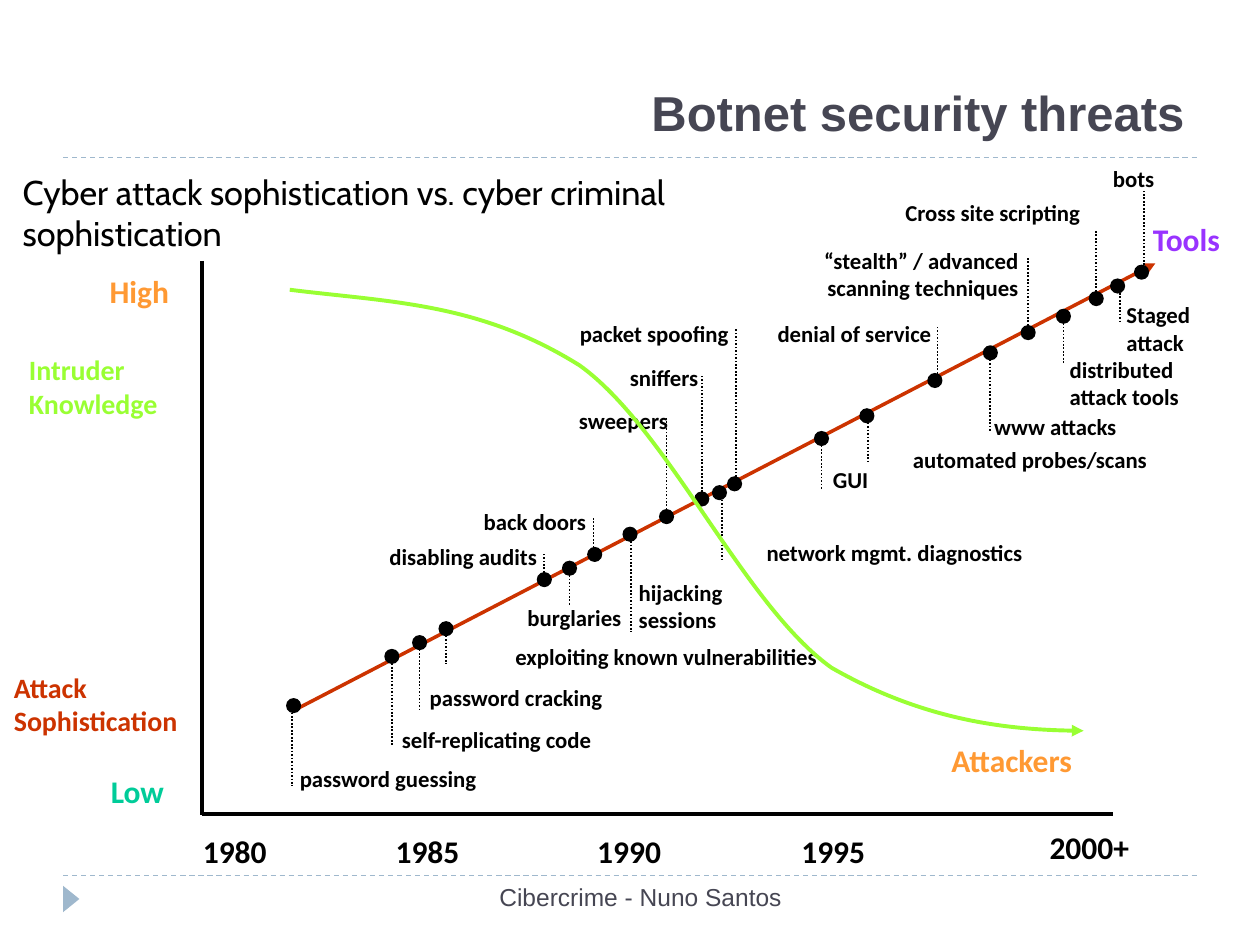
from lxml.etree import SubElement
from pptx import Presentation
from pptx.dml.color import RGBColor
from pptx.enum.dml import MSO_LINE
from pptx.enum.shapes import MSO_CONNECTOR, MSO_SHAPE
from pptx.enum.text import MSO_ANCHOR, MSO_AUTO_SIZE, PP_ALIGN
from pptx.oxml.ns import qn
from pptx.util import Inches, Pt

BLACK = RGBColor(0x00, 0x00, 0x00)
SLATE = RGBColor(0x46, 0x46, 0x53)
STEEL = RGBColor(0x9F, 0xB8, 0xCD)
ORANGE = RGBColor(0xFF, 0x99, 0x33)
TEAL = RGBColor(0x00, 0xCC, 0x99)
RED = RGBColor(0xCC, 0x33, 0x00)
GREEN = RGBColor(0x99, 0xFF, 0x33)
PURPLE = RGBColor(0x99, 0x33, 0xFF)
LEFT, CENTER, RIGHT = PP_ALIGN.LEFT, PP_ALIGN.CENTER, PP_ALIGN.RIGHT

presentation = Presentation()
presentation.slide_width = Inches(10)
presentation.slide_height = Inches(7.5)
slide = presentation.slides.add_slide(presentation.slide_layouts[1])
shapes = slide.shapes

# The slide is a grid of 100 columns by 75 rows of square cells
CELL = presentation.slide_width // 100


def write_text(shape, text, color, align, font_format, frame_format):
    """Fill a shape with text and apply the format values."""
    frame = shape.text_frame
    frame.text = text
    for name, value in frame_format.items():
        setattr(frame, name, value)
    for paragraph in frame.paragraphs:
        paragraph.alignment = align
        for run in paragraph.runs:
            run.font.color.rgb = color
            for name, value in font_format.items():
                setattr(run.font, name, value)


def draw_line(x1, y1, x2, y2, color, width, dash=None):
    """Draw a connector between two grid points."""
    ends = [round(value * CELL) for value in (x1, y1, x2, y2)]
    line = shapes.add_connector(MSO_CONNECTOR.STRAIGHT, *ends)
    line.line.color.rgb = color
    line.line.width = Pt(width)
    if dash:
        line.line.dash_style = dash
    SubElement(line._element.spPr, qn("a:effectLst"))
    return line


# Template rules and corner marker
for row in (69.5, 12.5):
    draw_line(5, row, 95, row, STEEL, 0.75, MSO_LINE.DASH)
marker = shapes.add_shape(
    MSO_SHAPE.ISOSCELES_TRIANGLE,
    *[round(value * CELL) for value in (4.6, 70.7, 2.1, 1.3)])
marker.rotation = 90
marker.shadow.inherit = False
marker.fill.solid()
marker.fill.fore_color.rgb = STEEL
marker.line.fill.background()

# Title, subtitle and footer
title, body = shapes.title, slide.placeholders[1]
footer = shapes.add_textbox(0, 0, CELL, CELL)
headings = [
    (title, (13.3, 1.7, 81.7, 10), "Botnet security threats", SLATE, RIGHT,
     {"name": "Arial", "size": Pt(28), "bold": True}, MSO_ANCHOR.BOTTOM),
    (body, (0.8, 13.1, 67.5, 6.1),
     "Cyber attack sophistication vs. cyber criminal sophistication",
     BLACK, LEFT, {"name": "Cabin", "size": Pt(19.6)}, MSO_ANCHOR.TOP),
    (footer, (31.7, 69.5, 38.3, 4), "Cibercrime - Nuno Santos", SLATE, CENTER,
     {"name": "Arial", "size": Pt(14)}, MSO_ANCHOR.TOP),
]
for shape, box, text, color, align, font_format, anchor in headings:
    for name, value in zip(("left", "top", "width", "height"), box):
        setattr(shape, name, round(value * CELL))
    write_text(shape, text, color, align, font_format,
               {"word_wrap": True, "auto_size": MSO_AUTO_SIZE.NONE,
                "vertical_anchor": anchor})
body_paragraph = body.text_frame.paragraphs[0]
body_properties = body_paragraph._p.get_or_add_pPr()
body_properties.set("marL", "0")
body_properties.set("indent", "0")
SubElement(body_properties, qn("a:buNone"))
body_paragraph.space_before = Pt(0)

# Axes
draw_line(16, 20.7, 16, 64.7, BLACK, 2.25)
draw_line(16, 64.6, 88.3, 64.6, BLACK, 2.25)

# Attack sophistication trend
trend = draw_line(23.3, 56.4, 91.7, 20.9, RED, 2)

# Attacks: text, label left, top, width, align, dot centre x, y, stem x, stem end
attacks = [
    ("password guessing", 22.7, 60.2, 19.3, LEFT, 23.3, 56, 23.2, 62.4),
    ("self-replicating code", 30.8, 57.1, 20.1, LEFT, 31.1, 52.1, 31.1, 59.2),
    ("password cracking", 33, 53.8, 18.8, LEFT, 33.3, 51, 33.3, 56.3),
    ("exploiting known vulnerabilities", 35.9, 50.5, 30, RIGHT,
     35.4, 49.9, 35.4, 52.7),
    ("disabling audits", 27.5, 42.6, 16.2, RIGHT, 43.2, 46, 43.2, 43.9),
    ("burglaries", 39.3, 47.4, 11.1, RIGHT, 45.2, 45.1, 45.2, 48.1),
    ("back doors", 35.6, 39.8, 12, RIGHT, 47.2, 44, 47.1, 41.1),
    ("hijacking\nsessions", 49.6, 45.4, 10.7, LEFT, 50, 42.4, 50.1, 50.2),
    ("sweepers", 43.1, 31.8, 11, RIGHT, 52.9, 41, 52.9, 33.2),
    ("sniffers", 47.6, 28.4, 8.9, RIGHT, 55.7, 39.6, 55.7, 29.7),
    ("network mgmt. diagnostics", 56.3, 42.3, 25.9, RIGHT,
     57.1, 39.1, 57.3, 44.6),
    ("packet spoofing", 42.6, 24.9, 16.3, RIGHT, 58.3, 38.4, 58.4, 26.1),
    ("GUI", 64.5, 36.5, 5.5, RIGHT, 65.2, 34.8, 65.2, 38.9),
    ("automated probes/scans", 68.3, 34.9, 23.8, RIGHT, 68.8, 33, 68.9, 36.7),
    ("denial of service", 58.4, 24.9, 16.6, RIGHT, 74.2, 30.2, 74.4, 25.8),
    ("www attacks", 77.8, 32.3, 15.7, LEFT, 78.6, 28, 78.6, 34.3),
    ("“stealth” / advanced scanning techniques", 59.4, 19.1, 22.5, RIGHT,
     81.6, 26.4, 81.6, 20.5),
    ("distributed\nattack tools", 83.8, 27.7, 12.4, LEFT,
     84.4, 25.1, 84.4, 28.8),
    ("Cross site scripting", 67.5, 15.3, 19.3, RIGHT, 87, 23.7, 87, 18.2),
    ("Staged\vattack", 88.3, 23.4, 8.5, LEFT, 88.7, 22.7, 88.9, 25.5),
    ("bots", 86.4, 12.6, 6.3, RIGHT, 90.6, 21.6, 90.8, 15.1),
]
DOT = 1.2
for *_, dot_x, dot_y, stem_x, stem_end in attacks:
    draw_line(stem_x, dot_y, stem_x, stem_end, BLACK, 1, MSO_LINE.ROUND_DOT)
    dot = shapes.add_shape(
        MSO_SHAPE.OVAL,
        *[round(value * CELL)
          for value in (dot_x - DOT / 2, dot_y - DOT / 2, DOT, DOT)])
    dot.shadow.inherit = False
    dot.fill.solid()
    dot.fill.fore_color.rgb = BLACK
    dot.line.fill.background()

# Labels: text, left, top, width, align, size, colour
labels = [(*attack[:5], 13, BLACK) for attack in attacks]
labels += [
    ("High", 7.6, 21.1, 9, LEFT, 18, ORANGE),
    ("Low", 7.7, 60.8, 8, LEFT, 18, TEAL),
    ("1980", 15, 65.5, 7.9, LEFT, 18, BLACK),
    ("1985", 30.3, 65.5, 7.9, LEFT, 18, BLACK),
    ("1990", 46.3, 65.5, 7.9, LEFT, 18, BLACK),
    ("1995", 62.5, 65.5, 7.9, LEFT, 18, BLACK),
    ("2000+", 82.2, 65.2, 9.3, LEFT, 18, BLACK),
    ("Tools", 90.4, 17, 10.2, LEFT, 18, PURPLE),
    ("Attackers", 74.4, 58.3, 15.9, LEFT, 18, ORANGE),
    ("Intruder\nKnowledge", 1.2, 27.5, 13.8, LEFT, 16, GREEN),
    ("Attack\nSophistication", 0, 52.7, 17.1, LEFT, 16, RED),
]
label_frame = {"word_wrap": True, "auto_size": MSO_AUTO_SIZE.SHAPE_TO_FIT_TEXT,
               "margin_left": Inches(0.11), "margin_right": Inches(0.11),
               "margin_top": Inches(0.05), "margin_bottom": Inches(0.05)}
for text, left, top, width, align, size, color in labels:
    line_count = 2 if len(text) > 35 else len(text.splitlines())
    height = 1 + line_count * size * 0.17
    label = shapes.add_textbox(
        *[round(value * CELL) for value in (left, top, width, height)])
    write_text(label, text, color, align,
               {"name": "Calibri", "size": Pt(size), "bold": True}, label_frame)

# Intruder knowledge curve: start point, then three points per Bézier segment
curve_points = [
    (22.7, 23.2),
    (30.6, 23.6), (38.5, 24.1), (45.7, 29),
    (52.9, 33.9), (59.2, 47.8), (66, 52.6),
    (72.8, 57.4), (79.6, 57.7), (86.4, 57.9),
]
builder = shapes.build_freeform(*curve_points[0], scale=CELL)
builder.add_line_segments(curve_points[1:], close=False)
curve = builder.convert_to_shape()
curve.shadow.inherit = False
curve.fill.background()
curve.line.color.rgb = GREEN
curve.line.width = Pt(2.25)
outline = next(curve._element.iter(qn("a:path")))
segments = outline.findall(qn("a:lnTo"))
for first in range(0, len(segments), 3):
    bezier = SubElement(outline, qn("a:cubicBezTo"))
    for segment in segments[first:first + 3]:
        bezier.append(segment[0])
        outline.remove(segment)

# Arrowheads
for arrow in (trend, curve):
    SubElement(arrow.line._get_or_add_ln(), qn("a:tailEnd"), type="triangle")

presentation.save("out.pptx")
